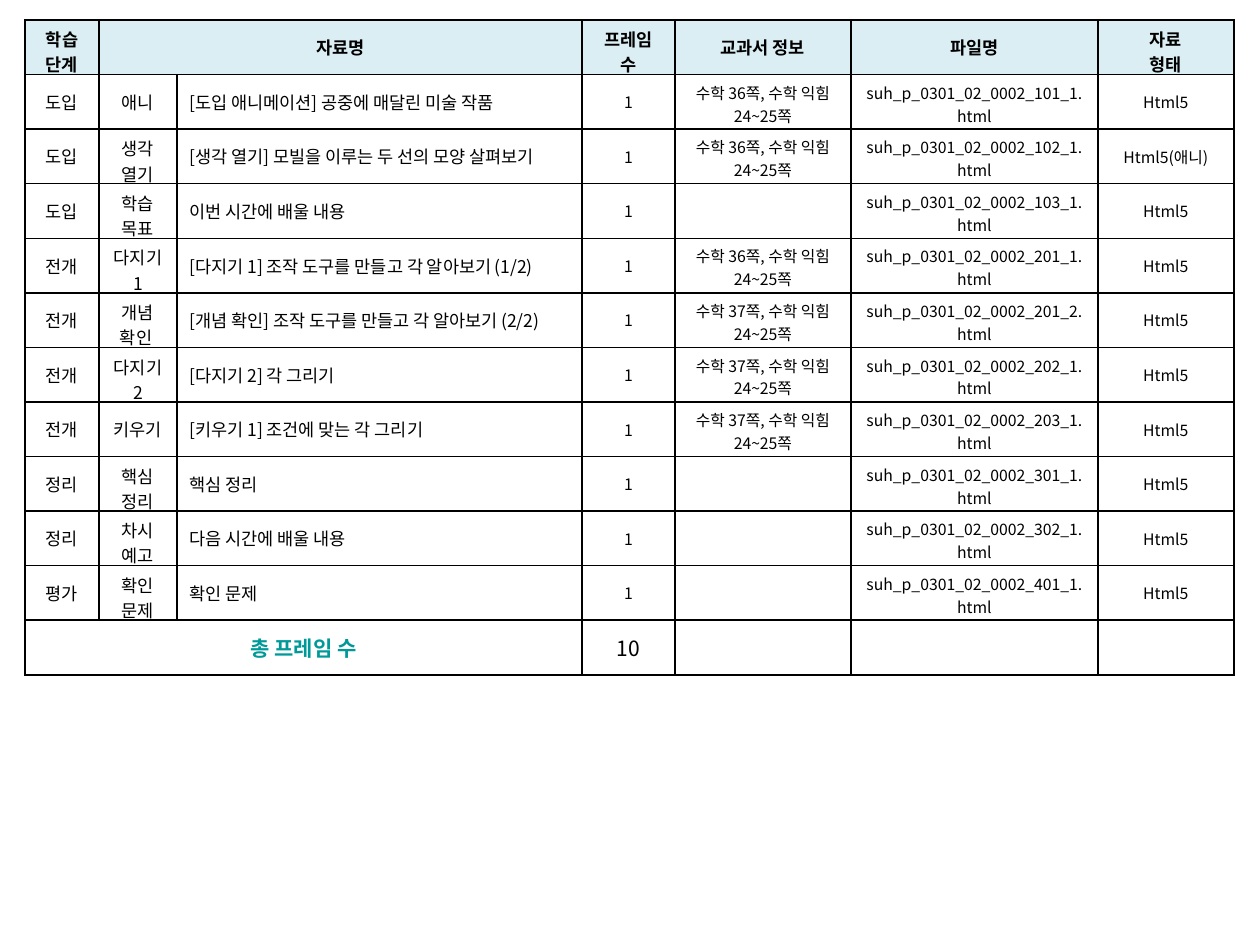
from pptx import Presentation
from pptx.dml.color import RGBColor
from pptx.enum.text import MSO_ANCHOR, PP_ALIGN
from pptx.oxml.ns import qn
from pptx.util import Emu, Pt
from lxml import etree

MID = MSO_ANCHOR.MIDDLE
LEFT, CENTER = PP_ALIGN.LEFT, PP_ALIGN.CENTER
PX = 914400 // 126
FONT = "Noto Sans CJK KR"
BLACK, WHITE, TEAL, PALE = "000000", "FFFFFF", "009999", "DBEEF4"

# Content
HEAD = ["학습 단계", "자료명", "", "프레임 수", "교과서 정보", "파일명", "자료\n형태"]
P36 = "수학 36쪽, 수학 익힘 24~25쪽"
P37 = "수학 37쪽, 수학 익힘 24~25쪽"
# stage, part, title, textbook pages, file number, format
ITEMS = [
    ("도입", "애니", "[도입 애니메이션] 공중에 매달린 미술 작품", P36, "101_1", "Html5"),
    ("도입", "생각 열기", "[생각 열기] 모빌을 이루는 두 선의 모양 살펴보기", P36, "102_1", "Html5(애니)"),
    ("도입", "학습 목표", "이번 시간에 배울 내용", "", "103_1", "Html5"),
    ("전개", "다지기 1", "[다지기 1] 조작 도구를 만들고 각 알아보기 (1/2)", P36, "201_1", "Html5"),
    ("전개", "개념\n확인 ", "[개념 확인] 조작 도구를 만들고 각 알아보기 (2/2)", P37, "201_2", "Html5"),
    ("전개", "다지기 2", "[다지기 2] 각 그리기", P37, "202_1", "Html5"),
    ("전개", "키우기", "[키우기 1] 조건에 맞는 각 그리기", P37, "203_1", "Html5"),
    ("정리", "핵심 정리", "핵심 정리", "", "301_1", "Html5"),
    ("정리", "차시 예고", "다음 시간에 배울 내용", "", "302_1", "Html5"),
    ("평가", "확인 문제", "확인 문제", "", "401_1", "Html5"),
]
TOTAL = ["총 프레임 수", "", "", str(len(ITEMS)), "", "", ""]
BODY = [[stage, part, title, "1", pages, f"suh_p_0301_02_0002_{num}.html", form]
        for stage, part, title, pages, num, form in ITEMS]
ROWS = [HEAD, *BODY, TOTAL]
LAST = len(ROWS) - 1

# Layout in px
X, Y, HIGH = 25, 20, 655
COLS = [74, 78, 405, 93, 176, 247, 136]
TITLE, PAGES, FILE = 2, 4, 5
NARROW = 136


def px(n):
    return Emu(round(n * PX))


def rgb(code):
    return RGBColor.from_string(code)


def look(r, c):
    """Text size, colour and weight of a cell."""
    if r == 0:
        return 10, BLACK, True
    if r == LAST:
        return 12, TEAL if c == 0 else BLACK, c == 0
    return 10 if c <= TITLE else 9, BLACK, False


def low(text, r, c):
    """Bottom margin that keeps two-line cells within the row height."""
    if r < LAST and COLS[c] <= NARROW and len(text.split()) > 1:
        return -3
    return 2 if 0 < r < LAST and c in (PAGES, FILE) else 6


def border(cell):
    props = cell._tc.get_or_add_tcPr()
    for i, side in enumerate(("lnL", "lnR", "lnT", "lnB")):
        line = etree.Element(qn("a:" + side), w=str(Pt(1)))
        fill = etree.SubElement(line, qn("a:solidFill"))
        etree.SubElement(fill, qn("a:srgbClr"), val=BLACK)
        props.insert(i, line)


def write(cell, text, r, c):
    size, color, bold = look(r, c)
    cell.text = text
    cell.vertical_anchor = MID
    cell.margin_top, cell.margin_bottom = px(6), px(low(text, r, c))
    for para in cell.text_frame.paragraphs:
        para.alignment = LEFT if 0 < r < LAST and c == TITLE else CENTER
        font = para.font
        font.size, font.bold, font.name = Pt(size), bold, FONT
        font.color.rgb = rgb(color)
        font._rPr.set("kern", "0")
        etree.SubElement(font._rPr, qn("a:ea"), typeface=FONT)
        if not text:
            etree.SubElement(para._p, qn("a:endParaRPr"), sz=str(size * 100))


def paint(cell, r):
    if 0 < r < LAST - 1:
        cell.fill.background()
        return
    cell.fill.solid()
    cell.fill.fore_color.rgb = rgb(WHITE if r else PALE)


deck = Presentation()
deck.slide_width, deck.slide_height = px(1260), px(945)
slide = deck.slides.add_slide(deck.slide_layouts[6])

# Table grid
table = slide.shapes.add_table(len(ROWS), len(COLS), px(X), px(Y),
                               px(sum(COLS)), px(HIGH)).table
table.first_row = table.horz_banding = False
for col, wide in zip(table.columns, COLS):
    col.width = px(wide)
for row in table.rows:
    row.height = px(HIGH / len(ROWS))

# Cells
for r, texts in enumerate(ROWS):
    for c, text in enumerate(texts):
        cell = table.cell(r, c)
        write(cell, text, r, c)
        paint(cell, r)
        border(cell)

# Merged cells
table.cell(0, 1).merge(table.cell(0, 2))
table.cell(LAST, 0).merge(table.cell(LAST, 2))

deck.save("out.pptx")
